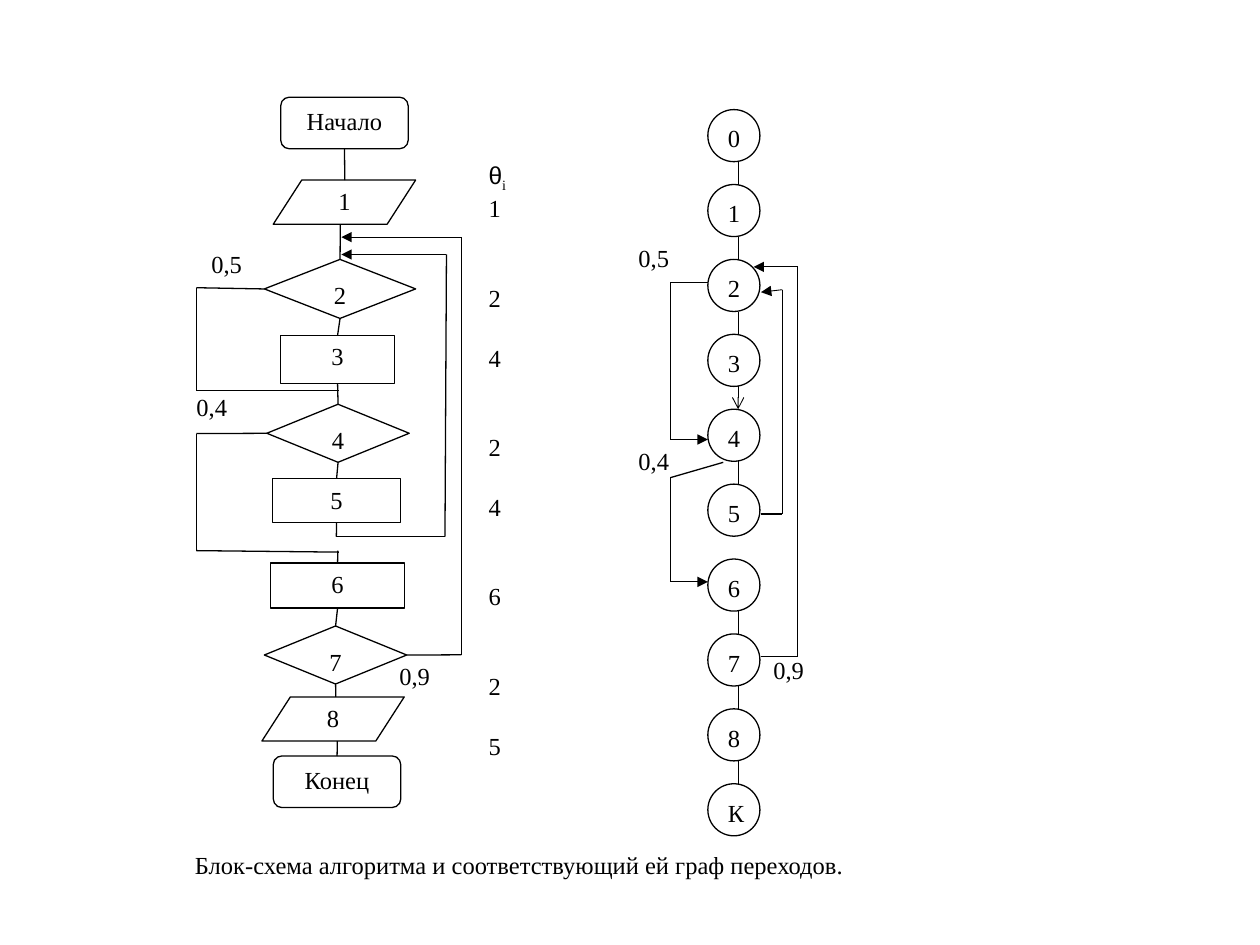
from pptx import Presentation
from pptx import util as u
from pptx.dml.color import RGBColor
from pptx.enum import shapes, text
from pptx.oxml.ns import qn
from lxml import etree

BLACK = RGBColor.from_string("000000")
WHITE = RGBColor.from_string("FFFFFF")
KIND = shapes.MSO_SHAPE

deck = Presentation()
deck.slide_width, deck.slide_height = u.Cm(25.4), u.Cm(19.05)
page = deck.slides.add_slide(deck.slide_layouts[6])


def add_block(kind, left, top, width, height, words, centred=False, outlined=True):
    box = page.shapes.add_shape(kind, u.Cm(left), u.Cm(top), u.Cm(width), u.Cm(height))
    box.shadow.inherit = False
    box.fill.solid()
    box.fill.fore_color.rgb = WHITE
    if outlined:
        box.line.color.rgb = BLACK
        box.line.width = u.Pt(0.75)
    else:
        box.line.fill.background()
    frame = box.text_frame
    frame.word_wrap = True
    frame.vertical_anchor = text.MSO_ANCHOR.TOP
    frame.text = words
    for para in frame.paragraphs:
        para.alignment = text.PP_ALIGN.CENTER if centred else text.PP_ALIGN.LEFT
        for span in para.runs:
            span.font.size = u.Pt(14)
            span.font.name = "Times New Roman"
            span.font.color.rgb = BLACK
    return box


def add_route(points, width=0.75, head=None, start=None, end=None):
    """Straight segments through the points; start and end are (block, side)."""
    last = len(points) - 2
    for i, (a, b) in enumerate(zip(points, points[1:])):
        line = page.shapes.add_connector(
            shapes.MSO_CONNECTOR.STRAIGHT, *[u.Cm(v) for v in (*a, *b)])
        line.line.color.rgb = BLACK
        line.line.width = u.Pt(0.5 if head and i == last else width)
        if start and i == 0:
            line.begin_connect(*start)
        if end and i == last:
            line.end_connect(*end)
        if head and i == last:
            etree.SubElement(line.line._get_or_add_ln(), qn("a:tailEnd"), type=head)
        etree.SubElement(line._element.spPr, qn("a:effectLst"))


# Probability labels
for words, left, top, width in [
    ("0,5", 4.01, 4.9, 2.24), ("0,4", 3.71, 7.77, 2.24), ("0,9", 7.8, 13.21, 1.63),
    ("0,5", 12.62, 4.78, 1.5), ("0,4", 12.62, 8.86, 1.5), ("0,9", 15.34, 13.08, 1.52),
]:
    add_block(KIND.RECTANGLE, left, top, width, 0.9, words, outlined=False)

# Flowchart blocks
TERMINAL = KIND.FLOWCHART_ALTERNATE_PROCESS
DATA = KIND.FLOWCHART_DATA
PROCESS = KIND.FLOWCHART_PROCESS
DECISION = KIND.FLOWCHART_DECISION
blocks = {}
for kind, left, top, width, height, words in [
    (TERMINAL, 5.66, 1.96, 2.57, 1.04, "Начало"),
    (DATA, 5.51, 3.63, 2.87, 0.89, "1"),
    (DECISION, 5.33, 5.23, 3.05, 1.19, "2"),
    (PROCESS, 5.66, 6.76, 2.29, 0.97, "3"),
    (DECISION, 5.38, 8.15, 2.87, 1.17, "4"),
    (PROCESS, 5.49, 9.65, 2.59, 0.89, "5"),
    (PROCESS, 5.46, 11.35, 2.69, 0.91, "6"),
    (DECISION, 5.33, 12.62, 2.87, 1.17, "7"),
    (DATA, 5.28, 14.05, 2.87, 0.89, "8"),
    (TERMINAL, 5.51, 15.24, 2.57, 1.04, "Конец"),
]:
    blocks[words] = add_block(kind, left, top, width, height, words, centred=True)

# Flowchart steps down the middle
for upper, lower in ["23", "34", "45", "67"]:
    add_route([(6.83, 0), (6.83, 1)], start=(blocks[upper], 2), end=(blocks[lower], 0))
add_route([(6.95, 3), (6.95, 3.63)], start=(blocks["Начало"], 2))
add_route([(6.86, 4.52), (6.86, 5.23)], end=(blocks["2"], 0))
add_route([(6.77, 13.79), (6.77, 14.05)], start=(blocks["7"], 2))
add_route([(6.8, 14.94), (6.8, 15.24)], end=(blocks["Конец"], 0))
add_route([(6.81, 11.1), (6.81, 11.35)], end=(blocks["6"], 0))

# Flowchart skips on the left and loops on the right
add_route([(5.33, 5.8), (3.96, 5.8), (3.96, 7.87), (6.83, 7.87)], start=(blocks["2"], 1))
add_route([(5.38, 8.74), (3.96, 8.74), (3.96, 11.1), (6.83, 11.13)], start=(blocks["4"], 1))
add_route([(6.78, 10.54), (6.78, 10.82), (8.97, 10.82), (9, 5.13), (6.88, 5.13)],
          head="triangle", start=(blocks["5"], 2))
add_route([(8.2, 13.2), (9.3, 13.2), (9.3, 4.78), (6.88, 4.78)],
          head="triangle", start=(blocks["7"], 3))

# Column of operation counts, spaced to face the blocks
counts = add_block(KIND.RECTANGLE, 9.6, 3.1, 1.5, 11.86,
                   "θ\n1\n2\n4\n2\n4\n6\n2\n5", outlined=False)
paras = counts.text_frame.paragraphs
for para, gap in zip(paras, [0, 0, 34.2, 17.5, 34.2, 17.5, 34.2, 34.2, 17.5]):
    para.space_before = u.Pt(gap)
paras[0].runs[0].font.name = "Arial"
index = paras[0].add_run()
index.text = "i"
index.font.size = u.Pt(14)
index.font.name = "Times New Roman"
index.font.color.rgb = BLACK
index.font._element.set("baseline", "-25000")

# Transition graph: nodes at an equal step, with links between them
FIRST, STEP, SIZE = 2.21, 1.51, 1.05
nodes = "012345678К"
for i, name in enumerate(nodes):
    add_block(KIND.OVAL, 14.27, FIRST + i * STEP, SIZE, SIZE, name)
for i in range(len(nodes) - 1):
    if nodes[i] != "5":
        top = FIRST + i * STEP
        add_route([(14.88, top + SIZE), (14.88, top + STEP)], width=0.5,
                  head="arrow" if nodes[i] == "3" else None)

# Transition graph: skips and loops
add_route([(14.27, 5.69), (13.51, 5.69), (13.51, 8.86), (14.27, 8.86)], 0.5, "triangle")
add_route([(14.58, 9.32), (13.51, 9.63), (13.51, 11.73), (14.27, 11.73)], head="triangle")
add_route([(15.34, 10.36), (15.77, 10.36), (15.77, 5.84), (15.34, 5.89)], head="triangle")
add_route([(15.34, 13.23), (16.08, 13.23), (16.08, 5.38), (15.19, 5.38)], head="triangle")

# Caption
add_block(KIND.RECTANGLE, 3.68, 17.02, 15.73, 0.94,
          "Блок-схема алгоритма и соответствующий ей граф переходов.", outlined=False)

deck.save("out.pptx")
